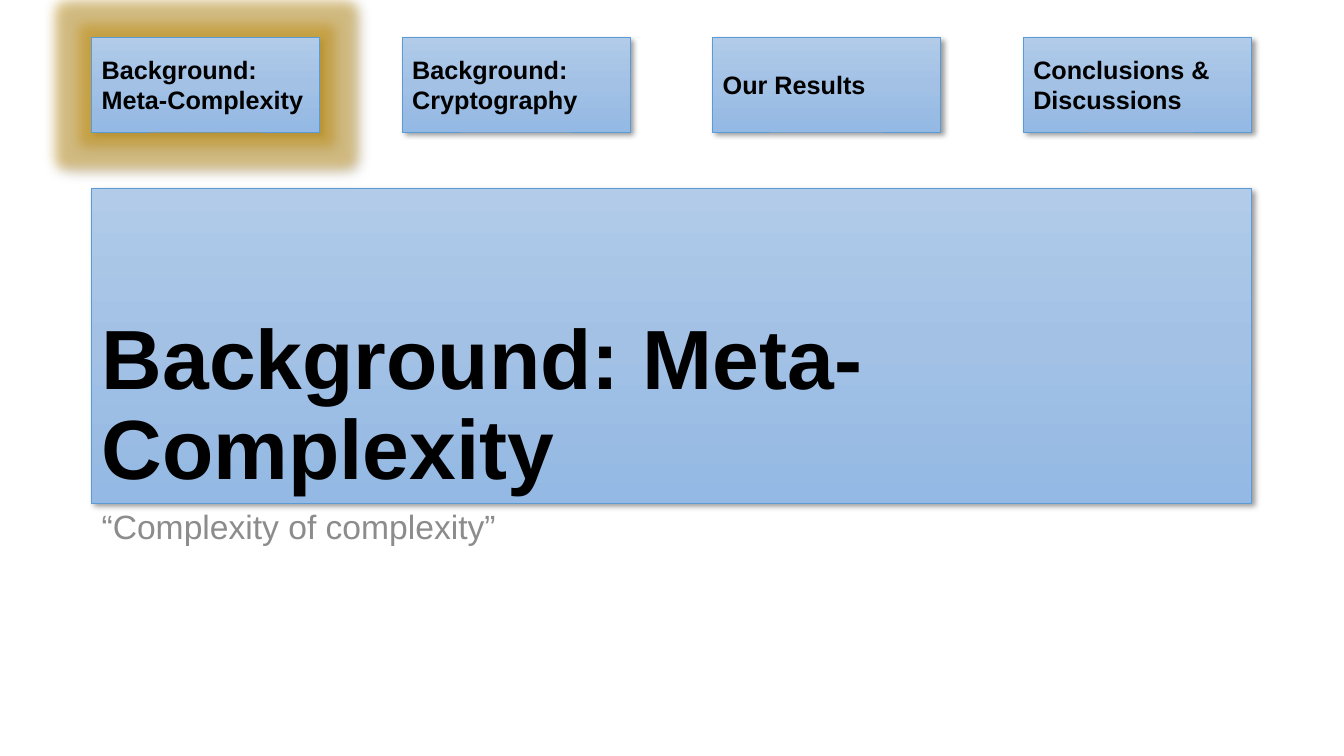
from lxml import etree
from pptx import Presentation
from pptx.dml.color import RGBColor
from pptx.enum.shapes import MSO_SHAPE
from pptx.enum.text import MSO_ANCHOR, MSO_AUTO_SIZE, PP_ALIGN
from pptx.oxml.ns import qn
from pptx.util import Inches, Pt

RECT = MSO_SHAPE.RECTANGLE
MIDDLE, BOTTOM, TOP = MSO_ANCHOR.MIDDLE, MSO_ANCHOR.BOTTOM, MSO_ANCHOR.TOP
LEFT = PP_ALIGN.LEFT
NO_FIT = MSO_AUTO_SIZE.NONE

TITLE = "Background: Meta-Complexity"
SUBTITLE = "“Complexity of complexity”"
SECTIONS = [
    "Background: Meta-Complexity",
    "Background: Cryptography",
    "Our Results",
    "Conclusions & Discussions",
]
CURRENT = 0

FONT = "Arial"
BLACK, GREY, BORDER, GOLD = "000000", "8C8C8C", "5B9BD5", "C99000"
STOPS = [(0, "B1CBE9"), (50, "A3C1E5"), (100, "93B9E4")]

MARGIN, CONTENT_W = 0.91, 11.5
TAB_TOP, TAB_W, TAB_H = 0.37, 2.26, 0.94
TAB_PITCH = (CONTENT_W - TAB_W) / (len(SECTIONS) - 1)


def rgb(value):
    return RGBColor.from_string(value)


def add_color(parent, value, alpha=None):
    color = etree.SubElement(parent, qn("a:srgbClr"), val=value)
    if alpha is not None:
        etree.SubElement(color, qn("a:alpha"), val=str(alpha * 1000))


def style_panel(sp, glowing=False):
    sp.fill.gradient()
    sp.fill.gradient_angle = 270
    stops = sp._element.spPr.find(qn("a:gradFill")).find(qn("a:gsLst"))
    for stop in list(stops):
        stops.remove(stop)
    for position, value in STOPS:
        stop = etree.SubElement(stops, qn("a:gs"), pos=str(position * 1000))
        add_color(stop, value)
    sp.line.color.rgb = rgb(BORDER)
    sp.line.width = Pt(0.5)
    sp.shadow.inherit = False
    effects = sp._element.spPr.find(qn("a:effectLst"))
    if glowing:
        glow = etree.SubElement(effects, qn("a:glow"), rad=str(Pt(18)))
        add_color(glow, GOLD, 40)
    shadow = etree.SubElement(
        effects, qn("a:outerShdw"), blurRad=str(Pt(4)), dist=str(Pt(3)),
        dir=str(45 * 60000), algn="tl", rotWithShape="0")
    add_color(shadow, BLACK, 40)


def write(sp, text, size, color, anchor, bold=False, spacing=1.0):
    tf = sp.text_frame
    tf.word_wrap = True
    tf.auto_size = NO_FIT
    tf.vertical_anchor = anchor
    p = tf.paragraphs[0]
    p.alignment = LEFT
    p.line_spacing = spacing
    r = p.add_run()
    r.text = text
    r.font.name = FONT
    r.font.size = Pt(size)
    r.font.bold = bold
    r.font.color.rgb = rgb(color)


prs = Presentation()
prs.slide_width, prs.slide_height = Inches(13.33), Inches(7.5)
s = prs.slides.add_slide(prs.slide_layouts[5])

title = s.shapes.title
title.left, title.top = Inches(MARGIN), Inches(1.87)
title.width, title.height = Inches(CONTENT_W), Inches(3.12)
style_panel(title)
write(title, TITLE, 60, BLACK, BOTTOM, bold=True, spacing=0.9)

subtitle = s.shapes.add_textbox(
    Inches(MARGIN), Inches(5.02), Inches(CONTENT_W), Inches(1.64))
write(subtitle, SUBTITLE, 24, GREY, TOP, spacing=0.9)

for i, section in enumerate(SECTIONS):
    tab = s.shapes.add_shape(
        RECT, Inches(MARGIN + i * TAB_PITCH), Inches(TAB_TOP),
        Inches(TAB_W), Inches(TAB_H))
    style_panel(tab, glowing=i == CURRENT)
    write(tab, section, 18, BLACK, MIDDLE, bold=True)

prs.save("out.pptx")
